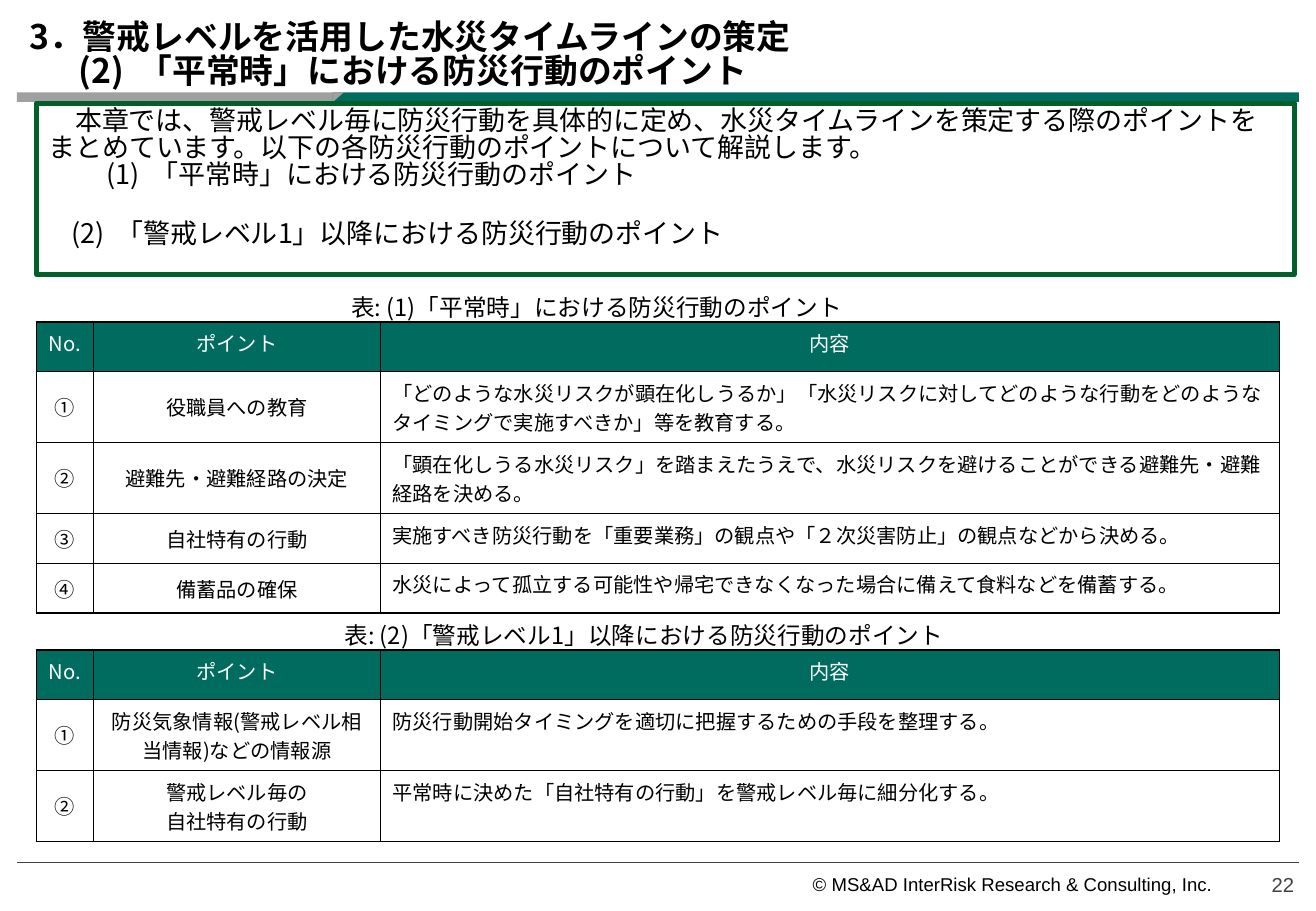
from lxml import etree
from pptx import Presentation
from pptx.dml.color import RGBColor
from pptx.enum.shapes import MSO_CONNECTOR, MSO_SHAPE
from pptx.enum.text import MSO_ANCHOR, MSO_AUTO_SIZE, PP_ALIGN
from pptx.oxml.ns import qn
from pptx.util import Pt

RECT, TRIANGLE = MSO_SHAPE.RECTANGLE, MSO_SHAPE.RIGHT_TRIANGLE
TOP, MIDDLE, BOTTOM = MSO_ANCHOR.TOP, MSO_ANCHOR.MIDDLE, MSO_ANCHOR.BOTTOM
LEFT, CENTER, RIGHT = PP_ALIGN.LEFT, PP_ALIGN.CENTER, PP_ALIGN.RIGHT

BLACK = RGBColor(0x00, 0x00, 0x00)
WHITE = RGBColor(0xFF, 0xFF, 0xFF)
GRAY = RGBColor(0x9E, 0xA0, 0xA1)
DARK = RGBColor(0x41, 0x42, 0x43)
TEAL = RGBColor(0x00, 0x6C, 0x60)
GREEN = RGBColor(0x01, 0x5F, 0x27)

JAPANESE, LATIN = "Noto Sans CJK JP", "Arial"
PX = 9144  # 100 px to the inch
TIGHT = 0.83  # line spacing of the title and the introduction

# Paragraphs: text, left margin, first-line indent, points before
TITLE = [
    ("3．警戒レベルを活用した水災タイムラインの策定", 0, 0, 0),
    ("(2)\t「平常時」における防災行動のポイント", 90, -49, 0),
]
INTRO = [
    ("本章では、警戒レベル毎に防災行動を具体的に定め、水災タイムラインを策定する際のポイントを"
     "まとめています。以下の各防災行動のポイントについて解説します。", 0, 22, 0),
    ("(1)\t「平常時」における防災行動のポイント", 85, -37, 0),
    ("(2)\t「警戒レベル1」以降における防災行動のポイント", 56, -37, 19),
]
HEADER = ("No.", "ポイント", "内容")
# Caption, caption left, caption top, table top, rows
TABLES = [
    ("表: (1)「平常時」における防災行動のポイント", 172, 240, 265, [
        ("①", "役職員への教育",
         "「どのような水災リスクが顕在化しうるか」「水災リスクに対してどのような行動を"
         "どのようなタイミングで実施すべきか」等を教育する。"),
        ("②", "避難先・避難経路の決定",
         "「顕在化しうる水災リスク」を踏まえたうえで、水災リスクを避けることができる"
         "避難先・避難経路を決める。"),
        ("③", "自社特有の行動",
         "実施すべき防災行動を「重要業務」の観点や「２次災害防止」の観点などから決める。"),
        ("④", "備蓄品の確保",
         "水災によって孤立する可能性や帰宅できなくなった場合に備えて食料などを備蓄する。"),
    ]),
    ("表: (2)「警戒レベル1」以降における防災行動のポイント", 211, 510, 535, [
        ("①", "防災気象情報(警戒レベル相当情報)などの情報源",
         "防災行動開始タイミングを適切に把握するための手段を整理する。"),
        ("②", "警戒レベル毎の\n自社特有の行動",
         "平常時に決めた「自社特有の行動」を警戒レベル毎に細分化する。"),
    ]),
]
COLUMNS = (47, 236, 740)
TABLE_LEFT, ROW_HEIGHT = 30, 41
# Text, box, size, colour
FOOTERS = [
    ("© MS&AD InterRisk Research & Consulting, Inc.", (644, 719, 354, 18), 11, BLACK),
    ("22", (1014, 709, 51, 29), 12, DARK),
]
BANDS = [
    (RECT, (14, 76, 260, 8), GRAY),
    (RECT, (274, 76, 795, 8), TEAL),
    (TRIANGLE, (274, 76, 9, 8), GRAY),
]


def scaled(box):
    return [length * PX for length in box]


def style(frame, size, color, align=LEFT, font=JAPANESE, bold=False):
    for paragraph in frame.paragraphs:
        paragraph.alignment = align
        for run in paragraph.runs:
            run.font.size, run.font.bold = Pt(size), bold
            run.font.color.rgb = color
            run.font.name = font
            etree.SubElement(run._r.get_or_add_rPr(), qn("a:ea"), typeface=font)


def set_frame(frame, anchor, insets, wrap=True):
    frame.auto_size = MSO_AUTO_SIZE.NONE
    frame.word_wrap = wrap
    frame.vertical_anchor = anchor
    (frame.margin_left, frame.margin_top,
     frame.margin_right, frame.margin_bottom) = scaled(insets)


def fill_indented(frame, content):
    frame.text = "\n".join(text for text, *_ in content)
    for paragraph, (_, margin, indent, before) in zip(frame.paragraphs, content):
        paragraph.line_spacing = TIGHT
        paragraph.space_before = Pt(before)
        properties = paragraph._p.get_or_add_pPr()
        properties.set("marL", str(margin * PX))
        properties.set("indent", str(indent * PX))


def add_text(shapes, text, box, size, color, align, anchor, font, insets, wrap):
    frame = shapes.add_textbox(*scaled(box)).text_frame
    set_frame(frame, anchor, insets, wrap)
    frame.text = text
    style(frame, size, color, align, font)


def add_borders(cell):
    properties = cell._tc.get_or_add_tcPr()
    for position, side in enumerate(("lnL", "lnR", "lnT", "lnB")):
        line = etree.Element(qn(f"a:{side}"), w=str(Pt(1)))
        fill = etree.SubElement(line, qn("a:solidFill"))
        etree.SubElement(fill, qn("a:srgbClr"), val=str(BLACK))
        properties.insert(position, line)


def add_points_table(shapes, top, body):
    rows = [HEADER, *body]
    box = (TABLE_LEFT, top, sum(COLUMNS), ROW_HEIGHT * len(rows))
    table = shapes.add_table(len(rows), len(COLUMNS), *scaled(box)).table
    table.first_row = table.horz_banding = False
    for column, width in zip(table.columns, COLUMNS):
        column.width = width * PX
    for r, row in enumerate(rows):
        for c, text in enumerate(row):
            cell = table.cell(r, c)
            cell.text = text
            is_header, is_content = r == 0, c == 2
            if is_header:
                cell.fill.solid()
                cell.fill.fore_color.rgb = TEAL
            else:
                cell.fill.background()
            cell.vertical_anchor = TOP if is_header or is_content else MIDDLE
            style(cell.text_frame, 12, WHITE if is_header else BLACK,
                  LEFT if is_content and not is_header else CENTER)
            add_borders(cell)


def main():
    deck = Presentation()
    deck.slide_width, deck.slide_height = scaled((1083, 750))
    slide = deck.slides.add_slide(deck.slide_layouts[5])
    shapes = slide.shapes

    for kind, box, color in BANDS:
        band = shapes.add_shape(kind, *scaled(box))
        band.shadow.inherit = False
        band.fill.solid()
        band.fill.fore_color.rgb = color
        band.line.fill.background()
        if kind == TRIANGLE:
            band._element.spPr.xfrm.set("flipV", "1")

    rule = shapes.add_connector(MSO_CONNECTOR.STRAIGHT, *scaled((14, 710, 1069, 710)))
    rule.line.color.rgb = DARK
    rule.line.width = Pt(1)
    etree.SubElement(rule._element.spPr, qn("a:effectLst"))

    for text, box, size, color in FOOTERS:
        add_text(shapes, text, box, size, color, RIGHT, BOTTOM, LATIN, (0, 0, 0, 0), True)

    title = shapes.title
    title.left, title.top, title.width, title.height = scaled((14, 13, 1055, 63))
    set_frame(title.text_frame, BOTTOM, (10, 4, 10, 2))
    fill_indented(title.text_frame, TITLE)
    style(title.text_frame, 20, BLACK, bold=True)

    intro = shapes.add_shape(RECT, *scaled((30, 85, 1035, 141)))
    intro.shadow.inherit = False
    intro.fill.background()
    intro.line.color.rgb = GREEN
    intro.line.width = Pt(3)
    set_frame(intro.text_frame, TOP, (10, 5, 10, 5))
    fill_indented(intro.text_frame, INTRO)
    style(intro.text_frame, 16, BLACK)

    for caption, left, caption_top, table_top, body in TABLES:
        add_points_table(shapes, table_top, body)
        add_text(shapes, caption, (left, caption_top, 638, 26), 14, BLACK,
                 CENTER, MIDDLE, JAPANESE, (10, 0, 10, 0), False)

    deck.save("out.pptx")


if __name__ == "__main__":
    main()
